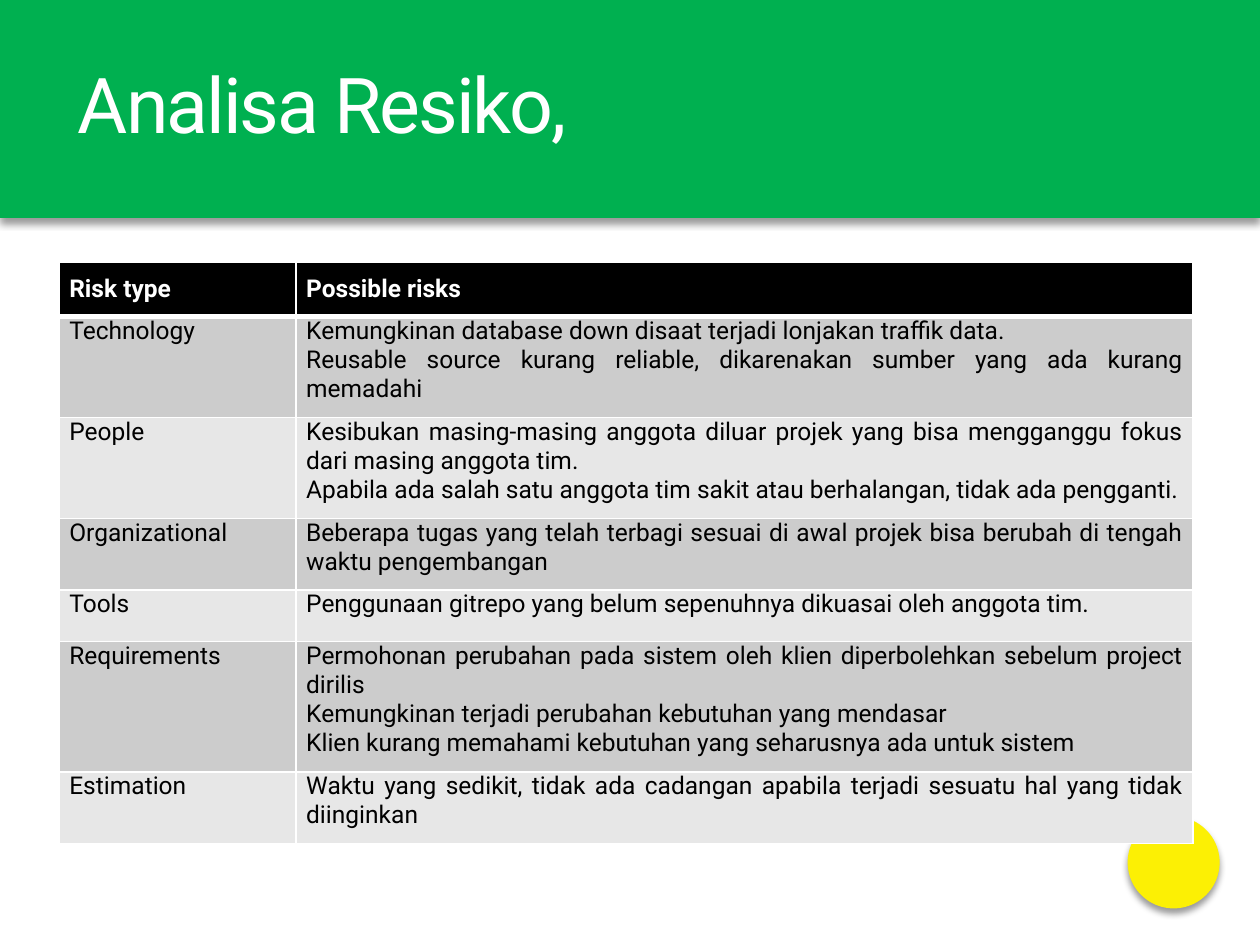
from lxml import etree
from pptx import Presentation
from pptx.dml.color import RGBColor
from pptx.enum.shapes import MSO_SHAPE
from pptx.enum.text import MSO_ANCHOR, PP_ALIGN
from pptx.oxml.ns import qn
from pptx.util import Inches, Pt

RECTANGLE = MSO_SHAPE.RECTANGLE
OVAL = MSO_SHAPE.OVAL
MIDDLE = MSO_ANCHOR.MIDDLE
JUSTIFY = PP_ALIGN.JUSTIFY
FONT = "Roboto"
WHITE, BLACK = "FFFFFF", "000000"
GREEN, YELLOW = "00B050", "FCF004"
BANDS = ("CCCCCC", "E7E7E7")
COLUMN_WIDTHS = (1.88, 7.12)
ROW_HEIGHT = 0.41

RISKS = [
    ("Risk type", ["Possible risks"]),
    ("Technology", [
        "Kemungkinan database down disaat terjadi lonjakan traffik data.",
        "Reusable source kurang reliable, dikarenakan sumber yang ada kurang memadahi",
    ]),
    ("People", [
        "Kesibukan masing-masing anggota diluar projek yang bisa mengganggu fokus "
        "dari masing anggota tim.",
        "Apabila ada salah satu anggota tim sakit atau berhalangan, tidak ada pengganti.",
    ]),
    ("Organizational", [
        "Beberapa tugas yang telah terbagi sesuai di awal projek bisa berubah di tengah "
        "waktu pengembangan",
    ]),
    ("Tools", ["Penggunaan gitrepo yang belum sepenuhnya dikuasai oleh anggota tim."]),
    ("Requirements", [
        "Permohonan perubahan pada sistem oleh klien diperbolehkan sebelum project dirilis",
        "Kemungkinan terjadi perubahan kebutuhan yang mendasar",
        "Klien kurang memahami kebutuhan yang seharusnya ada untuk sistem",
    ]),
    ("Estimation", [
        "Waktu yang sedikit, tidak ada cadangan apabila terjadi sesuatu hal yang tidak "
        "diinginkan",
    ]),
]


def color(value):
    """Turn a hex string into a colour."""
    return RGBColor.from_string(value)


def add_run(paragraph, text, size, text_color, bold=False):
    """Add one styled run and return it."""
    run = paragraph.add_run()
    run.text = text
    run.font.name = FONT
    run.font.size = Pt(size)
    run.font.bold = bold
    run.font.color.rgb = color(text_color)
    return run


def add_shadowed_shape(slide, preset, left, top, width, height, fill):
    """Add a plain shape with a soft shadow below it."""
    shape = slide.shapes.add_shape(
        preset, Inches(left), Inches(top), Inches(width), Inches(height))
    shape.fill.solid()
    shape.fill.fore_color.rgb = color(fill)
    shape.line.fill.background()
    shape.shadow.inherit = False
    effects = shape._element.spPr.find(qn("a:effectLst"))
    shadow = etree.SubElement(
        effects, qn("a:outerShdw"), blurRad=str(Pt(4)), dist=str(Pt(3)),
        dir="5400000", algn="t", rotWithShape="0")
    tint = etree.SubElement(shadow, qn("a:srgbClr"), val=BLACK)
    etree.SubElement(tint, qn("a:alpha"), val="40000")


def add_title(slide, text):
    """Add the slide title over the green band."""
    title = slide.shapes.add_textbox(
        Inches(0.52), Inches(0.18), Inches(8.84), Inches(1.37))
    frame = title.text_frame
    frame.word_wrap = True
    frame.vertical_anchor = MIDDLE
    paragraph = frame.paragraphs[0]
    paragraph.line_spacing = 0.9
    run = add_run(paragraph, text, 44, WHITE)
    run.font._element.set("spc", "-120")


def set_borders(cell, bottom_width):
    """Draw white lines around a cell."""
    properties = cell._tc.get_or_add_tcPr()
    edges = (("lnL", 1), ("lnR", 1), ("lnT", 1), ("lnB", bottom_width))
    for position, (edge, width) in enumerate(edges):
        line = etree.Element(qn(f"a:{edge}"), w=str(Pt(width)))
        fill = etree.SubElement(line, qn("a:solidFill"))
        etree.SubElement(fill, qn("a:srgbClr"), val=WHITE)
        properties.insert(position, line)


def fill_cell(cell, lines, row):
    """Write the lines into a cell and style it by its row."""
    header = row == 0
    cell.margin_left = cell.margin_right = Inches(0.08)
    cell.margin_top = Inches(0.1 if header else 0)
    cell.margin_bottom = Inches(0.1)
    cell.fill.solid()
    cell.fill.fore_color.rgb = color(BLACK if header else BANDS[(row - 1) % 2])
    set_borders(cell, 3 if header or False else 1)
    frame = cell.text_frame
    for index, text in enumerate(lines):
        paragraph = frame.add_paragraph() if index else frame.paragraphs[0]
        paragraph.alignment = JUSTIFY
        add_run(paragraph, text, 14, WHITE if header else BLACK, header)


def add_risk_table(slide):
    """Add the table of risk types and possible risks."""
    holder = slide.shapes.add_table(
        len(RISKS), len(COLUMN_WIDTHS),
        Inches(0.47), Inches(2.08), Inches(9), Inches(4.37))
    table = holder.table
    for column, width in zip(table.columns, COLUMN_WIDTHS):
        column.width = Inches(width)
    for row, (risk_type, possible_risks) in enumerate(RISKS):
        table.rows[row].height = Inches(ROW_HEIGHT)
        fill_cell(table.cell(row, 0), [risk_type], row)
        fill_cell(table.cell(row, 1), possible_risks, row)
    holder.height = Inches(4.37)


def main():
    """Build the risk analysis slide."""
    deck = Presentation()
    deck.slide_width = Inches(10)
    deck.slide_height = Inches(7.5)
    slide = deck.slides.add_slide(deck.slide_layouts[6])
    add_shadowed_shape(slide, RECTANGLE, 0, 0, 10, 1.73, GREEN)
    add_title(slide, "Analisa Resiko,")
    add_shadowed_shape(slide, OVAL, 8.95, 6.48, 0.73, 0.73, YELLOW)
    add_risk_table(slide)
    deck.save("out.pptx")


main()
